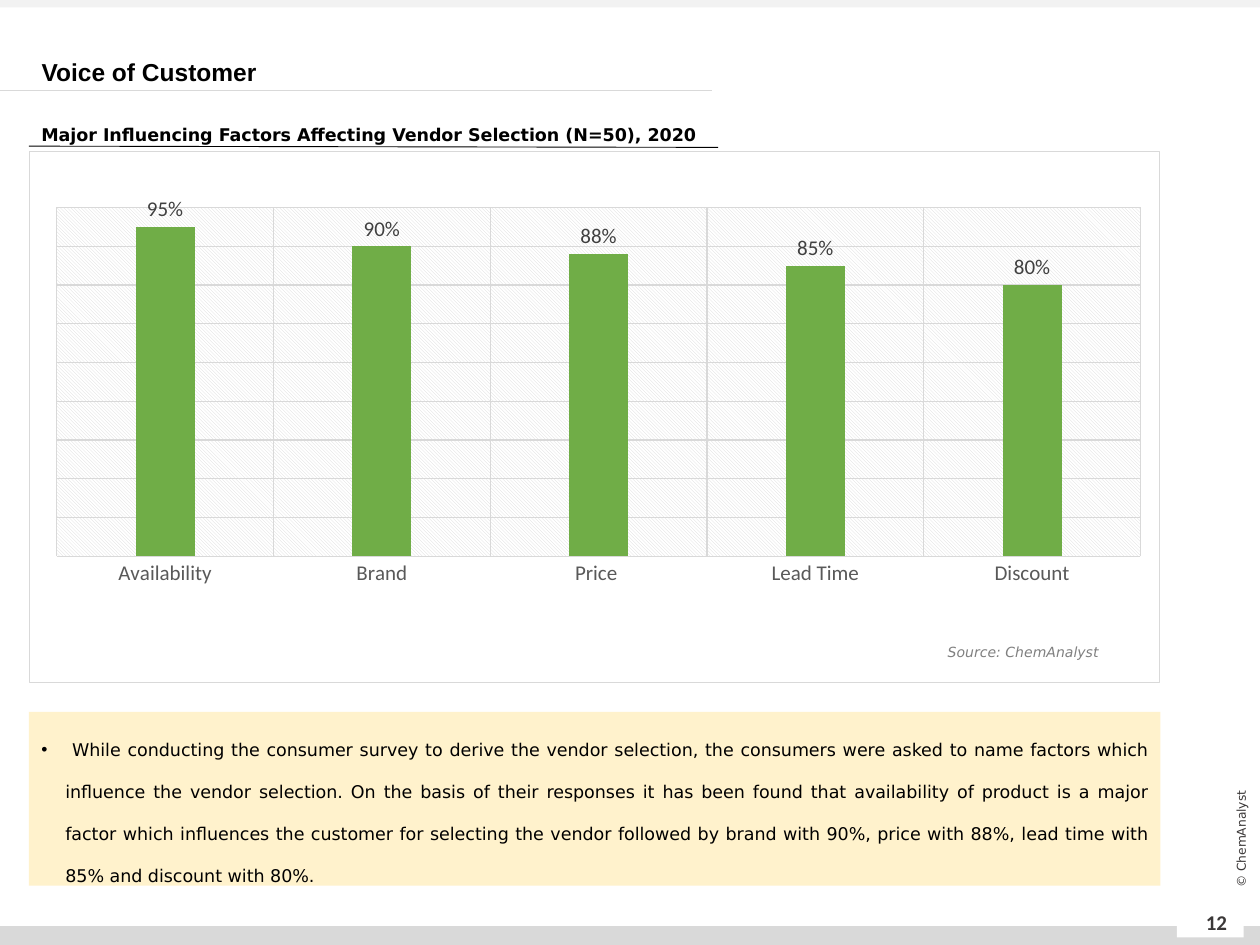
import pptx
import pptx.chart.data
import pptx.dml.color
import pptx.enum.chart
import pptx.enum.shapes
import pptx.enum.text
import pptx.oxml
import pptx.oxml.ns
import pptx.util

RGBColor = pptx.dml.color.RGBColor
Align = pptx.enum.text.PP_ALIGN
Anchor = pptx.enum.text.MSO_ANCHOR
Pt = pptx.util.Pt
qn = pptx.oxml.ns.qn

BLACK = RGBColor(0x00, 0x00, 0x00)
WHITE = RGBColor(0xFF, 0xFF, 0xFF)
CHARCOAL = RGBColor(0x3B, 0x38, 0x38)
LABEL_GRAY = RGBColor(0x40, 0x40, 0x40)
AXIS_GRAY = RGBColor(0x59, 0x59, 0x59)
SOURCE_GRAY = RGBColor(0x80, 0x80, 0x80)
RULE_GRAY = RGBColor(0xD9, 0xD9, 0xD9)
PALE_GRAY = RGBColor(0xF2, 0xF2, 0xF2)
CREAM = RGBColor(0xFF, 0xF2, 0xCC)
GREEN = RGBColor(0x70, 0xAD, 0x47)

COLUMNS, ROWS = 100, 75
MARGIN, CONTENT_WIDTH = 2.3, 89.8
A_NS = pptx.oxml.ns.nsdecls("a")
C_NS = pptx.oxml.ns.nsdecls("c")

FINDING = (
    " While conducting the consumer survey to derive the vendor selection, the consumers "
    "were asked to name factors which influence the vendor selection. On the basis of their "
    "responses it has been found that availability of product is a major factor which "
    "influences the customer for selecting the vendor followed by brand with 90%, price with "
    "88%, lead time with 85% and discount with 80%."
)


def write(frame, text, size=10, font="DejaVu Sans", color=BLACK, bold=False, italic=False,
          align=Align.LEFT, anchor=Anchor.TOP, spacing=None, bullet=None, grow=False):
    fit = pptx.enum.text.MSO_AUTO_SIZE
    frame.word_wrap = True
    frame.auto_size = fit.SHAPE_TO_FIT_TEXT if grow else fit.NONE
    frame.vertical_anchor = anchor
    paragraph = frame.paragraphs[0]
    paragraph.alignment = align
    if spacing:
        paragraph.line_spacing = spacing
    if bullet:
        properties = paragraph._p.get_or_add_pPr()
        indent = pptx.util.Inches(0.19)
        properties.set("marL", str(indent))
        properties.set("indent", str(-indent))
        properties.append(pptx.oxml.parse_xml(f'<a:buFont {A_NS} typeface="Arial"/>'))
        properties.append(pptx.oxml.parse_xml(f'<a:buChar {A_NS} char="{bullet}"/>'))
    run = paragraph.add_run()
    run.text = text
    style_font(run.font, size, color, font, bold, italic)


def style_font(font, size, color, name="Calibri", bold=False, italic=False):
    font.size, font.name, font.bold, font.italic = Pt(size), name, bold, italic
    font.color.rgb = color


def style_line(line, color, width=0.75):
    line.color.rgb = color
    line.width = Pt(width)


class SurveySlide:
    def __init__(self, deck):
        self.cell_width = deck.slide_width / COLUMNS
        self.cell_height = deck.slide_height / ROWS
        self.slide = deck.slides.add_slide(deck.slide_layouts[5])
        self.shapes = self.slide.shapes

    def place(self, left, top, width, height):
        return (round(left * self.cell_width), round(top * self.cell_height),
                round(width * self.cell_width), round(height * self.cell_height))

    def title(self, text, *area, **style):
        heading = self.shapes.title
        heading.left, heading.top, heading.width, heading.height = self.place(*area)
        write(heading.text_frame, text, **style)

    def panel(self, fill, *area):
        panel = self.shapes.add_shape(pptx.enum.shapes.MSO_SHAPE.RECTANGLE, *self.place(*area))
        panel.shadow.inherit = False
        panel.fill.solid()
        panel.fill.fore_color.rgb = fill
        panel.line.fill.background()
        return panel

    def label(self, text, *area, rotation=0, **style):
        box = self.shapes.add_textbox(*self.place(*area))
        box.rotation = rotation
        write(box.text_frame, text, **style)

    def rule(self, color, *ends):
        rule = self.shapes.add_connector(pptx.enum.shapes.MSO_CONNECTOR.STRAIGHT,
                                         *self.place(*ends))
        style_line(rule.line, color, 0.5)
        rule._element.spPr.append(pptx.oxml.parse_xml(f"<a:effectLst {A_NS}/>"))

    def column_chart(self, ratings, *area):
        data = pptx.chart.data.CategoryChartData(number_format="0%")
        data.categories = list(ratings)
        data.add_series("Series 1", list(ratings.values()))
        kind = pptx.enum.chart.XL_CHART_TYPE.COLUMN_CLUSTERED
        chart = self.shapes.add_chart(kind, *self.place(*area), data).chart
        chart.has_title = chart.has_legend = False
        style_font(chart.font, 10, BLACK)

        plot = chart.plots[0]
        plot.gap_width, plot.overlap, plot.vary_by_categories = 267, -43, False
        bars = plot.series[0]
        bars.format.fill.solid()
        bars.format.fill.fore_color.rgb = GREEN
        plot.has_data_labels = True
        labels = plot.data_labels
        labels.show_value = True
        labels.position = pptx.enum.chart.XL_LABEL_POSITION.OUTSIDE_END
        labels.number_format, labels.number_format_is_linked = "0%", False
        style_font(labels.font, 12, LABEL_GRAY)

        factors, scale = chart.category_axis, chart.value_axis
        for axis in (factors, scale):
            axis.has_major_gridlines = True
            style_line(axis.major_gridlines.format.line, RULE_GRAY)
            axis.major_tick_mark = axis.minor_tick_mark = pptx.enum.chart.XL_TICK_MARK.NONE
        style_line(factors.format.line, RULE_GRAY)
        style_font(factors.tick_labels.font, 12, AXIS_GRAY)
        scale.minimum_scale, scale.maximum_scale, scale.major_unit = 0.1, 1, 0.1
        scale.visible = False
        self.chart_background(chart)

    def chart_background(self, chart):
        space = chart._chartSpace
        plot_area = space.find(qn("c:chart")).find(qn("c:plotArea"))
        for layout in plot_area.findall(qn("c:layout")):
            plot_area.remove(layout)
        position = "".join(f'<c:{key} val="{value}"/>' for key, value in (
            ("layoutTarget", "inner"), ("xMode", "edge"), ("yMode", "edge"),
            ("x", 0.024), ("y", 0.105), ("w", 0.959), ("h", 0.658)))
        plot_area.insert(0, pptx.oxml.parse_xml(
            f"<c:layout {C_NS}><c:manualLayout>{position}</c:manualLayout></c:layout>"))
        plot_area.append(pptx.oxml.parse_xml(
            f'<c:spPr {C_NS} {A_NS}><a:pattFill prst="ltDnDiag">'
            f'<a:fgClr><a:srgbClr val="{RULE_GRAY}"/></a:fgClr>'
            f'<a:bgClr><a:srgbClr val="{WHITE}"/></a:bgClr></a:pattFill>'
            "<a:ln><a:noFill/></a:ln></c:spPr>"))
        space.find(qn("c:chart")).addnext(pptx.oxml.parse_xml(
            f'<c:spPr {C_NS} {A_NS}><a:solidFill><a:srgbClr val="{WHITE}"/></a:solidFill>'
            f'<a:ln w="{Pt(0.75)}"><a:solidFill><a:srgbClr val="{RULE_GRAY}"/></a:solidFill>'
            "</a:ln></c:spPr>"))


def main():
    deck = pptx.Presentation()
    deck.slide_width, deck.slide_height = pptx.util.Inches(10), pptx.util.Inches(7.5)
    page = SurveySlide(deck)

    page.panel(RULE_GRAY, 0, 73.5, COLUMNS, 1.5)
    page.panel(PALE_GRAY, 0, 0, COLUMNS, 0.6)
    page.panel(WHITE, 93.4, 72.2, 5.3, 2.2)
    page.rule(RULE_GRAY, 0, 7.2, 56.5, 7.2)
    page.label("12", 94.1, 71.2, 4.9, 4, size=12, font="Calibri", color=CHARCOAL,
               bold=True, align=Align.CENTER, anchor=Anchor.MIDDLE)
    page.label("© ChemAnalyst", 92.5, 65.8, 12, 1.6, rotation=270, size=7, color=CHARCOAL,
               align=Align.CENTER, anchor=Anchor.MIDDLE)

    page.title("Voice of Customer", MARGIN, 3.2, 85.9, 5, size=14, font="Arial", bold=True,
               anchor=Anchor.MIDDLE, spacing=Pt(17))
    page.label("Major Influencing Factors Affecting Vendor Selection (N=50), 2020",
               MARGIN, 8.5, 56.7, 3.2, bold=True, spacing=1.5, grow=True)
    page.rule(BLACK, MARGIN, 11.6, 57, 11.7)

    finding = page.panel(CREAM, MARGIN, 56.5, CONTENT_WIDTH, 13.8)
    write(finding.text_frame, FINDING, align=Align.JUSTIFY, spacing=2.0, bullet="•")

    ratings = {"Availability": 0.95, "Brand": 0.9, "Price ": 0.88,
               "Lead Time": 0.85, "Discount": 0.8}
    page.column_chart(ratings, MARGIN, 12, CONTENT_WIDTH, 42.2)
    page.label("Source: ChemAnalyst", 64.1, 50.6, 24.1, 2.4, size=8, color=SOURCE_GRAY,
               italic=True, align=Align.RIGHT, grow=True)

    deck.save("out.pptx")


if __name__ == "__main__":
    main()
